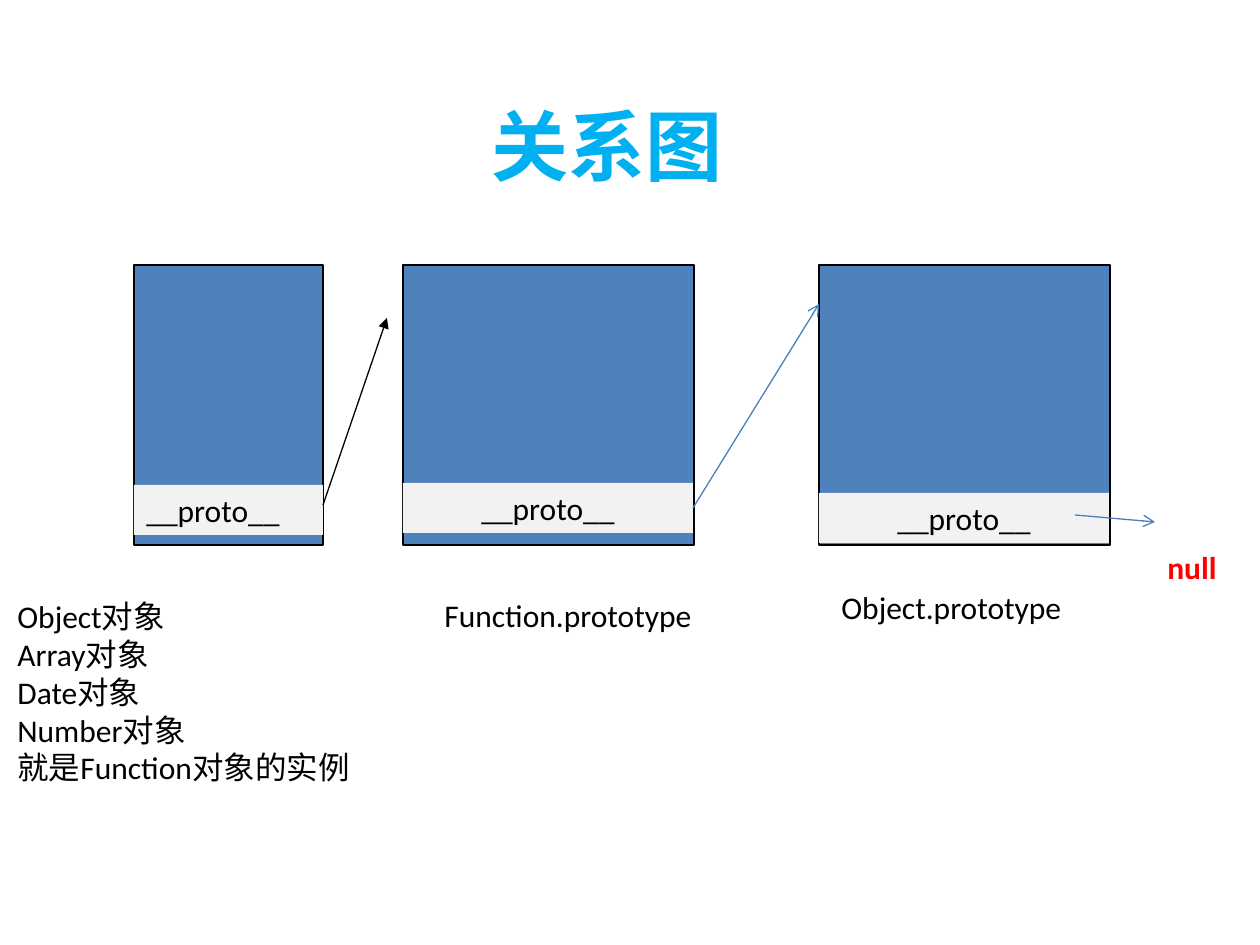
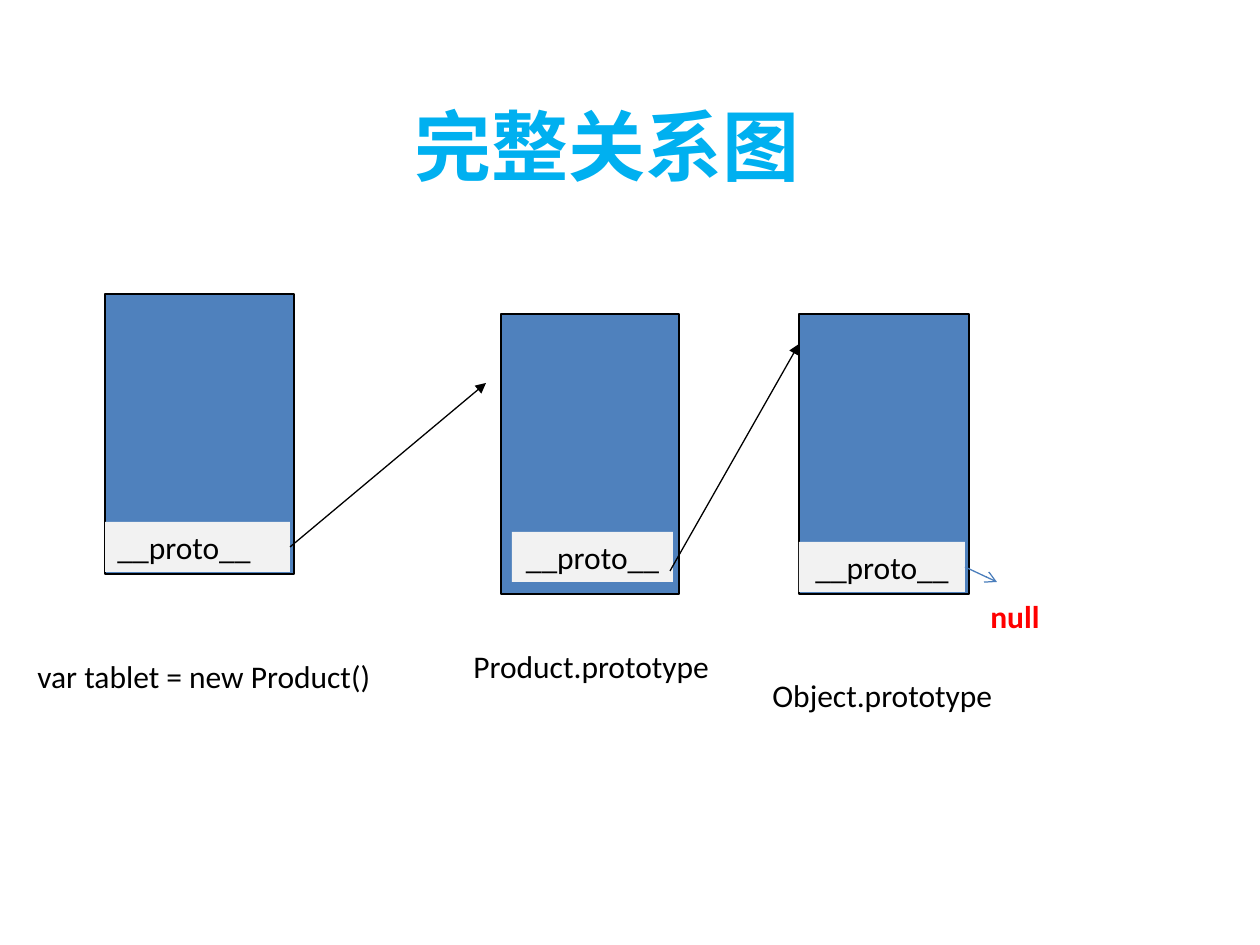
from lxml.etree import SubElement
from pptx import Presentation
from pptx.dml.color import RGBColor
from pptx.enum.shapes import MSO_CONNECTOR as Line, MSO_SHAPE as Preset
from pptx.enum.text import MSO_ANCHOR as Anchor, PP_ALIGN as Align
from pptx.oxml.ns import qn
from pptx.util import Pt

SCALE = 914400 / 126
WIDTH, HEIGHT = 1260, 945
BOX_HEIGHT, ROW_HEIGHT = 280, 50
RIGHT_SIDE = 3
TITLE_AREA = (-15, 66, 1245, 158)

BLACK = RGBColor(0x00, 0x00, 0x00)
SKY = RGBColor(0x00, 0xB0, 0xF0)
RED = RGBColor(0xFF, 0x00, 0x00)
BOX_BLUE = RGBColor(0x4F, 0x81, 0xBD)
ARROW_BLUE = RGBColor(0x4B, 0x7E, 0xBC)
BAND_GREY = RGBColor(0xF2, 0xF2, 0xF2)

BODY = {"name": "Calibri", "size": Pt(18), "bold": False}
STRONG = {**BODY, "bold": True}
HEADING = {**STRONG, "size": Pt(44)}
TEXT_FRAME = {"word_wrap": True, "vertical_anchor": Anchor.TOP}
TITLE_FRAME = {**TEXT_FRAME, "vertical_anchor": Anchor.MIDDLE}

SOLID = (BLACK, "triangle")
OPEN = (ARROW_BLUE, "arrow")

# An arrow starts at a point, or at the right side of the band with that index.
DIAGRAMS = [
    {
        "title": "关系图",
        "null": (1155, 542),
        "objects": [
            {"box": (134, 265, 189), "band": (134, 485, 189), "align": Align.LEFT,
             "caption": (5, 591, 358),
             "lines": ["Object对象", "Array对象", "Date对象", "Number对象",
                       "就是Function对象的实例"],
             "arrows": [((323, 505), (387, 318), SOLID)]},
            {"box": (403, 265, 291), "band": (403, 483, 290), "align": Align.CENTER,
             "caption": (432, 590, 286), "lines": ["Function.prototype"],
             "arrows": []},
            {"box": (819, 265, 291), "band": (819, 493, 290), "align": Align.CENTER,
             "caption": (829, 582, 282), "lines": ["Object.prototype"],
             "arrows": [((1075, 515), (1155, 522), OPEN), (1, (819, 304), OPEN)]},
        ],
    },
    {
        "title": "完整关系图",
        "null": (978, 591),
        "objects": [
            {"box": (105, 294, 189), "band": (105, 522, 185), "align": Align.LEFT,
             "caption": (25, 651, 372), "lines": ["var tablet = new Product()"],
             "arrows": [(0, (486, 383), SOLID)]},
            {"box": (501, 314, 178), "band": (512, 532, 161), "align": Align.CENTER,
             "caption": (461, 641, 261), "lines": ["Product.prototype"],
             "arrows": [((670, 571), (799, 344), SOLID)]},
            {"box": (799, 314, 170), "band": (799, 542, 166), "align": Align.CENTER,
             "caption": (760, 670, 282), "lines": ["Object.prototype"],
             "arrows": [(2, (997, 582), OPEN)]},
        ],
    },
]


def px(*lengths):
    return [round(length * SCALE) for length in lengths]


def apply(target, values):
    for attribute, value in values.items():
        setattr(target, attribute, value)


def write(holder, lines, font=BODY, color=BLACK, align=Align.LEFT, frame=TEXT_FRAME):
    apply(holder.text_frame, frame)
    holder.text_frame.text = "\n".join(lines)
    for paragraph in holder.text_frame.paragraphs:
        paragraph.alignment = align
        for run in paragraph.runs:
            apply(run.font, font)
            run.font.color.rgb = color


def add_text(slide, area, lines, **style):
    write(slide.shapes.add_textbox(*px(*area)), lines, **style)


def add_rectangle(slide, area, color, outlined):
    rectangle = slide.shapes.add_shape(Preset.RECTANGLE, *px(*area))
    rectangle.shadow.inherit = False
    rectangle.fill.solid()
    rectangle.fill.fore_color.rgb = color
    if outlined:
        rectangle.line.color.rgb = BLACK
        rectangle.line.width = Pt(0.75)
    else:
        rectangle.line.fill.background()
    return rectangle


def add_arrow(slide, bands, start, end, look):
    color, head = look
    joined = isinstance(start, int)
    origin = (0, 0) if joined else start
    arrow = slide.shapes.add_connector(Line.STRAIGHT, *px(*origin, *end))
    if joined:
        arrow.begin_connect(bands[start], RIGHT_SIDE)
    arrow.line.color.rgb = color
    arrow.line.width = Pt(0.75)
    properties = arrow.line._get_or_add_ln()
    SubElement(properties, qn("a:tailEnd"), type=head)
    SubElement(properties.getparent(), qn("a:effectLst"))


def draw_diagram(slide, diagram):
    add_text(slide, TITLE_AREA, [diagram["title"]], font=HEADING, color=SKY,
             align=Align.CENTER, frame=TITLE_FRAME)
    bands = []
    for node in diagram["objects"]:
        add_rectangle(slide, (*node["box"], BOX_HEIGHT), BOX_BLUE, True)
        band = add_rectangle(slide, (*node["band"], ROW_HEIGHT), BAND_GREY, False)
        write(band, ["__proto__"], align=node["align"])
        bands.append(band)
        caption_height = ROW_HEIGHT + 38 * (len(node["lines"]) - 1)
        add_text(slide, (*node["caption"], caption_height), node["lines"])
        for start, end, look in node["arrows"]:
            add_arrow(slide, bands, start, end, look)
    add_text(slide, (*diagram["null"], 93, ROW_HEIGHT), ["null"], font=STRONG, color=RED)


def main():
    deck = Presentation()
    deck.slide_width, deck.slide_height = px(WIDTH, HEIGHT)
    blank = deck.slide_layouts[6]
    for diagram in DIAGRAMS:
        draw_diagram(deck.slides.add_slide(blank), diagram)
    deck.save("out.pptx")


if __name__ == "__main__":
    main()
